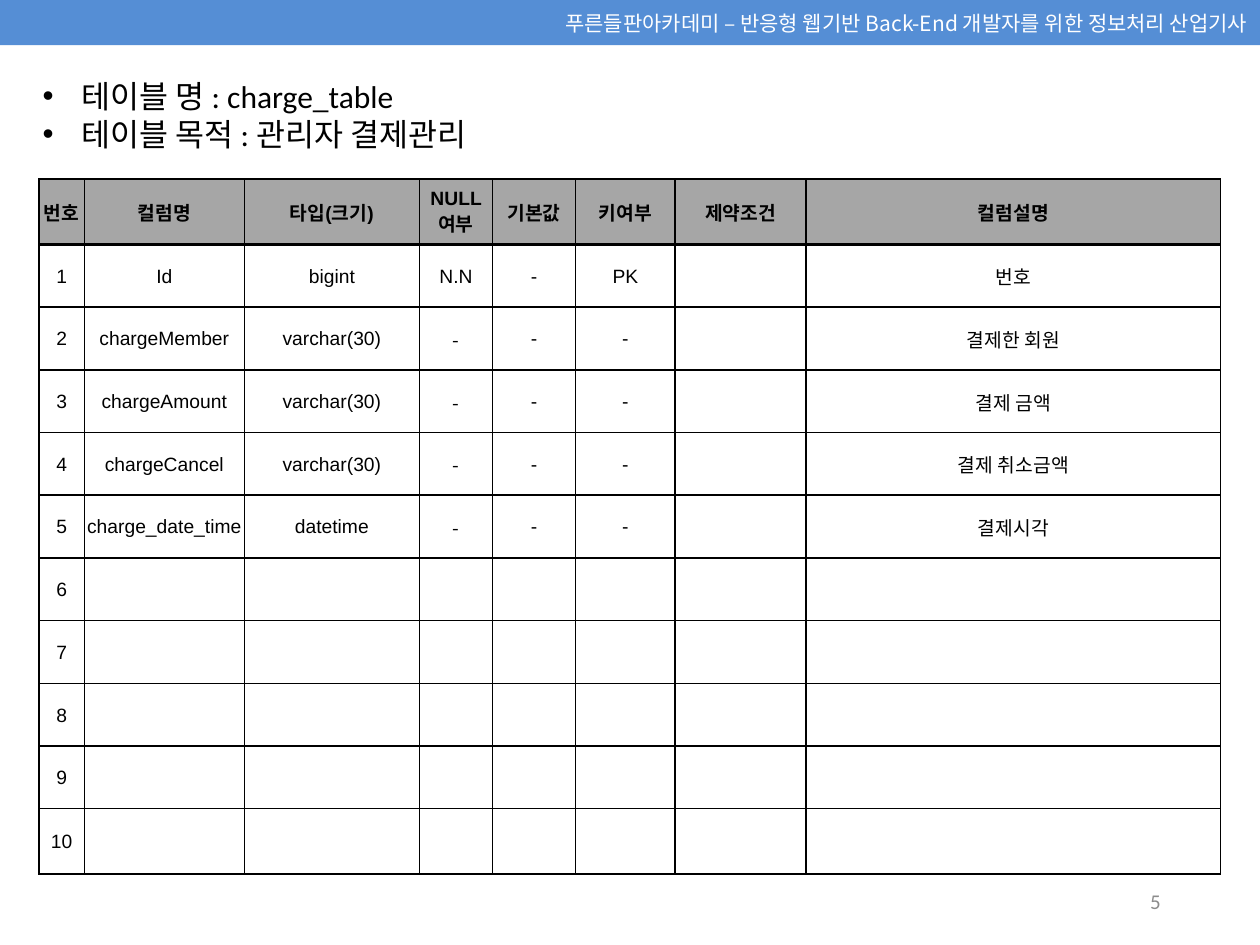
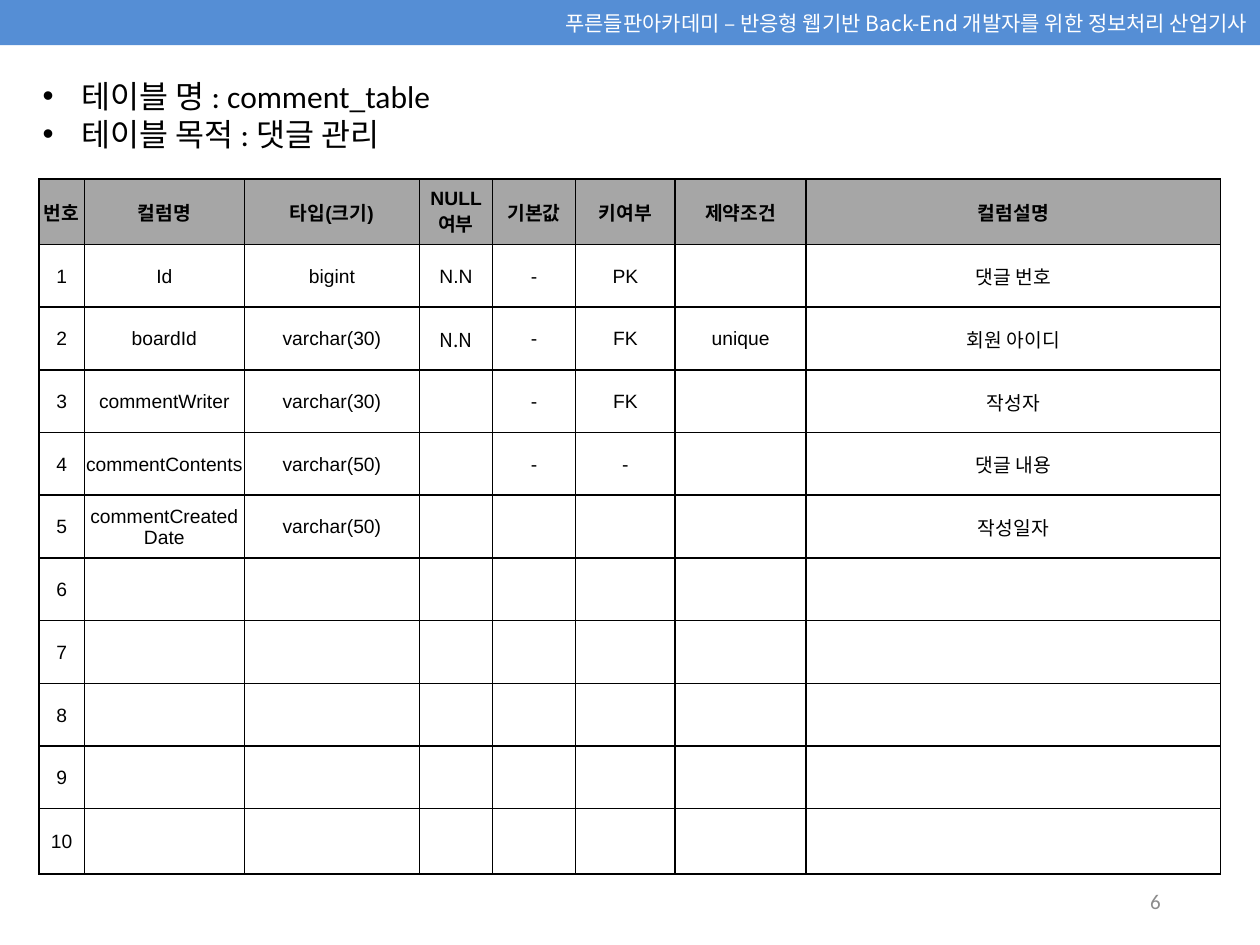
import pptx
import pptx.dml.color
import pptx.enum.shapes
import pptx.enum.text
import pptx.oxml
import pptx.oxml.ns
import pptx.util

Inches, Pt = pptx.util.Inches, pptx.util.Pt
RGBColor = pptx.dml.color.RGBColor
ALIGN = pptx.enum.text.PP_ALIGN
MIDDLE = pptx.enum.text.MSO_ANCHOR.MIDDLE

BLUE = RGBColor(0x55, 0x8E, 0xD5)
WHITE = RGBColor(0xFF, 0xFF, 0xFF)
BLACK = RGBColor(0x00, 0x00, 0x00)
HEADER_GRAY = RGBColor(0xA6, 0xA6, 0xA6)
NUMBER_GRAY = RGBColor(0x8C, 0x8C, 0x8C)
KOREAN = "Noto Sans CJK KR"

# Text formats shared by both slides
BAND_TEXT = {"size": Pt(12), "name": KOREAN, "color": WHITE}
NUMBER_TEXT = {"size": Pt(12), "name": "Calibri", "color": NUMBER_GRAY}
SUMMARY_TEXT = {"size": Pt(18), "name": "Calibri", "color": BLACK}
HEADER_TEXT = {"size": Pt(11), "name": "Arial", "bold": True, "color": BLACK}
BODY_TEXT = {**HEADER_TEXT, "bold": False}
NULL_TEXT = {**BODY_TEXT, "name": KOREAN}
CELL_FORMAT = {"vertical_anchor": MIDDLE, "margin_left": Inches(0.01),
               "margin_top": Inches(0.01), "margin_right": Inches(0.01),
               "margin_bottom": 0}

COURSE = "푸른들판아카데미 – 반응형 웹기반 Back-End 개발자를 위한 정보처리 산업기사"
HEADINGS = ["번호", "컬럼명", "타입(크기)", "NULL 여부", "기본값", "키여부",
            "제약조건", "컬럼설명"]
COLUMN_WIDTHS = [0.36, 1.27, 1.39, 0.58, 0.66, 0.79, 1.04, 3.29]
ENTRY_ROWS = 10
NULL_COLUMN = HEADINGS.index("NULL 여부")

# Box of each region: left, top, width, height in inches
BAND_BOX = (0, 0, 10, 0.36)
SUMMARY_BOX = (0.24, 0.56, 9.49, 0.69)
TABLE_BOX = (0.31, 1.42, 9.38, 5.52)
NUMBER_BOX = (7.06, 6.95, 2.25, 0.4)

TABLES = [
    {"number": 5, "name": "charge_table", "purpose": "관리자 결제관리", "header_rule": 2,
     "columns": [
         ["Id", "bigint", "N.N", "-", "PK", "", "번호"],
         ["chargeMember", "varchar(30)", "-", "-", "-", "", "결제한 회원"],
         ["chargeAmount", "varchar(30)", "-", "-", "-", "", "결제 금액"],
         ["chargeCancel", "varchar(30)", "-", "-", "-", "", "결제 취소금액"],
         ["charge_date_time", "datetime", "-", "-", "-", "", "결제시각"]]},
    {"number": 6, "name": "comment_table", "purpose": "댓글 관리", "header_rule": 1,
     "columns": [
         ["Id", "bigint", "N.N", "-", "PK", "", "댓글 번호"],
         ["boardId", "varchar(30)", "N.N", "-", "FK", "unique", "회원 아이디"],
         ["commentWriter", "varchar(30)", "", "-", "FK", "", "작성자"],
         ["commentContents", "varchar(50)", "", "-", "-", "", "댓글 내용"],
         ["commentCreatedDate", "varchar(50)", "", "", "", "", "작성일자"]]},
]


def xml(tag, content="", **attributes):
    listed = "".join(f' {key}="{value}"' for key, value in attributes.items())
    return pptx.oxml.parse_xml(
        f'<a:{tag} {pptx.oxml.ns.nsdecls("a")}{listed}>{content}</a:{tag}>')


def apply(target, values):
    for key, value in values.items():
        setattr(target, key, value)


def write(paragraph, text, text_format, align=ALIGN.LEFT):
    paragraph.alignment = align
    run = paragraph.add_run()
    run.text = text
    for key, value in text_format.items():
        if key == "color":
            run.font.color.rgb = value
        else:
            setattr(run.font, key, value)
    run.font._element.append(xml("ea", typeface=KOREAN))


def add_band(slide, box):
    band = slide.shapes.add_shape(
        pptx.enum.shapes.MSO_SHAPE.RECTANGLE, *map(Inches, box))
    band.shadow.inherit = False
    band.fill.solid()
    band.fill.fore_color.rgb = BLUE
    band.line.fill.background()
    band.text_frame.vertical_anchor = MIDDLE
    write(band.text_frame.paragraphs[0], COURSE, BAND_TEXT, ALIGN.RIGHT)


def add_page_number(slide, box, number):
    frame = slide.shapes.add_textbox(*map(Inches, box)).text_frame
    apply(frame, {"word_wrap": True, "vertical_anchor": MIDDLE})
    write(frame.paragraphs[0], str(number), NUMBER_TEXT, ALIGN.RIGHT)


def add_summary(slide, box, lines):
    frame = slide.shapes.add_textbox(*map(Inches, box)).text_frame
    apply(frame, {"word_wrap": True,
                  "auto_size": pptx.enum.text.MSO_AUTO_SIZE.SHAPE_TO_FIT_TEXT})
    for index, line in enumerate(lines):
        paragraph = frame.add_paragraph() if index else frame.paragraphs[0]
        write(paragraph, line, SUMMARY_TEXT)
        # Hanging bullet
        properties = paragraph._p.get_or_add_pPr()
        properties.set("marL", str(Inches(0.31)))
        properties.set("indent", str(-Inches(0.31)))
        properties.append(xml("buFont", typeface="Arial"))
        properties.append(xml("buChar", char="•"))


def set_borders(cell, widths):
    line = f'<a:solidFill><a:srgbClr val="{BLACK}"/></a:solidFill>'
    properties = cell._tc.get_or_add_tcPr()
    for index, (side, width) in enumerate(widths.items()):
        properties.insert(index, xml(f"ln{side}", line, w=Pt(width)))


def add_column_table(slide, box, columns, header_rule):
    left, top, width, height = box
    grid = slide.shapes.add_table(
        ENTRY_ROWS + 1, len(HEADINGS), *map(Inches, box)).table
    grid.horz_banding = False
    for column, column_width in zip(grid.columns, COLUMN_WIDTHS):
        column.width = Inches(column_width)
    # First and last rows are slightly taller; the others share the rest
    edge_height = 0.52
    inner_height = (height - 2 * edge_height) / (ENTRY_ROWS - 1)
    blank = [""] * (len(HEADINGS) - 1)
    entries = columns + [blank] * (ENTRY_ROWS - len(columns))
    rows = [HEADINGS] + [[str(n), *entry] for n, entry in enumerate(entries, 1)]
    for r, texts in enumerate(rows):
        grid.rows[r].height = Inches(
            edge_height if r in (0, ENTRY_ROWS) else inner_height)
        for c, text in enumerate(texts):
            cell = grid.cell(r, c)
            apply(cell, CELL_FORMAT)
            cell.fill.solid()
            cell.fill.fore_color.rgb = WHITE if r else HEADER_GRAY
            set_borders(cell, {"L": 1, "R": 1,
                               "T": header_rule if r == 1 else 1,
                               "B": header_rule if r == 0 else 1})
            if text:
                null_entry = c == NULL_COLUMN and r > 1
                body_format = NULL_TEXT if null_entry else BODY_TEXT
                write(cell.text_frame.paragraphs[0], text,
                      body_format if r else HEADER_TEXT, ALIGN.CENTER)


def add_table_slide(deck, table):
    slide = deck.slides.add_slide(deck.slide_layouts[6])
    add_band(slide, BAND_BOX)
    add_page_number(slide, NUMBER_BOX, table["number"])
    add_summary(slide, SUMMARY_BOX, [f"테이블 명 : {table['name']}",
                                     f"테이블 목적 : {table['purpose']}"])
    add_column_table(slide, TABLE_BOX, table["columns"], table["header_rule"])


deck = pptx.Presentation()
apply(deck, {"slide_width": Inches(10), "slide_height": Inches(7.5)})
for table in TABLES:
    add_table_slide(deck, table)
deck.save("out.pptx")
